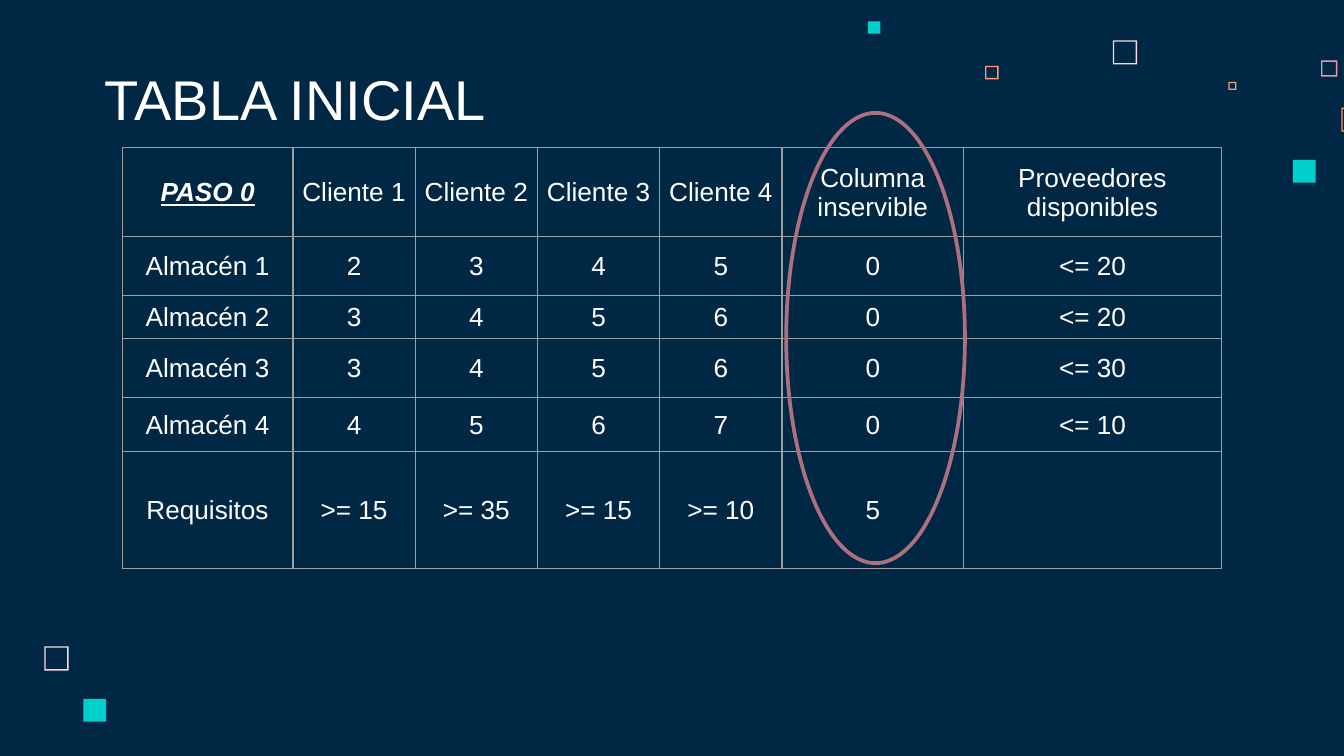
from dataclasses import dataclass

from lxml.etree import SubElement
from pptx import Presentation
from pptx.dml.color import RGBColor
from pptx.enum.shapes import MSO_SHAPE as Shape
from pptx.enum.text import MSO_ANCHOR as Anchor, PP_ALIGN as Align
from pptx.oxml.ns import qn
from pptx.util import Inches, Pt


@dataclass(frozen=True)
class Theme:
    font: str = "Arial"
    title_size: int = 30
    table_size: int = 14
    background: str = "002845"
    text: str = "FFFFFF"
    border: str = "9E9E9E"
    highlight: str = "AC707F"
    pink: str = "FFD6E1"
    rose: str = "E898AC"
    orange: str = "FF9973"
    teal: str = "00CFCC"


THEME = Theme()

# left, top, side, colour
FRAMES = [
    (8.28, 0.3, 0.18, THEME.pink),
    (9.83, 0.45, 0.12, THEME.rose),
    (9.14, 0.61, 0.06, THEME.orange),
    (9.98, 0.8, 0.18, THEME.orange),
    (7.33, 0.49, 0.1, THEME.orange),
    (0.33, 4.81, 0.18, THEME.pink),
]
SQUARES = [(9.62, 1.19, 0.17), (6.46, 0.16, 0.09), (0.62, 5.2, 0.17)]

COLUMN_WIDTHS = [1.27] + [0.91] * 4 + [1.35, 1.92]
ROW_HEIGHTS = [0.66, 0.44, 0.32, 0.44, 0.4, 0.87]
ROWS = [
    ["PASO 0", "Cliente 1", "Cliente 2", "Cliente 3", "Cliente 4",
     "Columna inservible", "Proveedores disponibles"],
    ["Almacén 1", "2", "3", "4", "5", "0", "<= 20"],
    ["Almacén 2", "3", "4", "5", "6", "0", "<= 20"],
    ["Almacén 3", "3", "4", "5", "6", "0", "<= 30"],
    ["Almacén 4", "4", "5", "6", "7", "0", "<= 10"],
    ["Requisitos", ">= 15", ">= 35", ">= 15", ">= 10", "5", ""],
]


def set_all(target, values):
    for name, value in values.items():
        setattr(target, name, value)


def paint(shape, color):
    shape.shadow.inherit = False
    shape.fill.solid()
    shape.fill.fore_color.rgb = RGBColor.from_string(color)
    shape.line.fill.background()


def write(para, text, size, **style):
    span = para.add_run()
    span.text = text
    set_all(span.font, {"name": THEME.font, "size": Pt(size), **style})
    span.font.color.rgb = RGBColor.from_string(THEME.text)


def add_frame(page, left, top, side, color):
    """Draw a thin hollow square as one outline with a hole."""
    edge = 0.01

    def corners(inset):
        x1, y1 = Inches(left + inset), Inches(top + inset)
        x2, y2 = Inches(left + side - inset), Inches(top + side - inset)
        return [(x1, y1), (x1, y2), (x2, y2), (x2, y1)]

    outer, hole = corners(0), corners(edge)[::-1]
    builder = page.shapes.build_freeform(*outer[0])
    builder.add_line_segments(outer[1:])
    builder.move_to(*hole[0])
    builder.add_line_segments(hole[1:])
    paint(builder.convert_to_shape(), color)


def add_square(page, left, top, side):
    square = page.shapes.add_shape(
        Shape.RECTANGLE, Inches(left), Inches(top), Inches(side), Inches(side))
    paint(square, THEME.teal)


def add_title(page, text):
    box = page.shapes.add_textbox(Inches(0.68), Inches(0.45), Inches(5.17), Inches(0.63))
    frame = box.text_frame
    margins = dict.fromkeys(
        ["margin_left", "margin_right", "margin_top", "margin_bottom"], Inches(0.1))
    set_all(frame, {"word_wrap": True, "vertical_anchor": Anchor.BOTTOM, **margins})
    write(frame.paragraphs[0], text, THEME.title_size)


def add_borders(cell):
    properties = cell._tc.get_or_add_tcPr()
    for side in ("a:lnL", "a:lnR", "a:lnT", "a:lnB"):
        line = SubElement(properties, qn(side), w=str(Pt(0.75)))
        fill = SubElement(line, qn("a:solidFill"))
        SubElement(fill, qn("a:srgbClr"), val=THEME.border)


def fill_cell(cell, text, **style):
    set_all(cell, {
        "margin_left": Inches(0.01), "margin_right": Inches(0.01),
        "margin_top": Inches(0.01), "margin_bottom": 0,
        "vertical_anchor": Anchor.MIDDLE,
    })
    add_borders(cell)
    cell.fill.background()
    if text:
        para = cell.text_frame.paragraphs[0]
        para.alignment = Align.CENTER
        write(para, text, THEME.table_size, **style)


def add_cost_table(page):
    table = page.shapes.add_table(
        len(ROWS), len(COLUMN_WIDTHS), Inches(0.91), Inches(1.1),
        Inches(sum(COLUMN_WIDTHS)), Inches(sum(ROW_HEIGHTS))).table
    set_all(table, {"first_row": False, "horz_banding": False})
    for column, width in zip(table.columns, COLUMN_WIDTHS):
        column.width = Inches(width)
    for row, height, texts in zip(table.rows, ROW_HEIGHTS, ROWS):
        row.height = Inches(height)
        for cell, text in zip(row.cells, texts):
            is_step = text == "PASO 0"
            fill_cell(cell, text, bold=is_step, italic=is_step, underline=is_step)


def add_column_highlight(page):
    ellipse = page.shapes.add_shape(
        Shape.OVAL, Inches(5.85), Inches(0.84), Inches(1.33), Inches(3.35))
    ellipse.shadow.inherit = False
    ellipse.fill.background()
    ellipse.line.color.rgb = RGBColor.from_string(THEME.highlight)
    ellipse.line.width = Pt(2)


def main():
    deck = Presentation()
    width = Inches(10)
    set_all(deck, {"slide_width": width, "slide_height": width * 9 // 16})
    page = deck.slides.add_slide(deck.slide_layouts[6])
    page.background.fill.solid()
    page.background.fill.fore_color.rgb = RGBColor.from_string(THEME.background)

    for frame in FRAMES:
        add_frame(page, *frame)
    for square in SQUARES:
        add_square(page, *square)
    add_title(page, "TABLA INICIAL")
    add_cost_table(page)
    add_column_highlight(page)
    deck.save("out.pptx")


if __name__ == "__main__":
    main()
